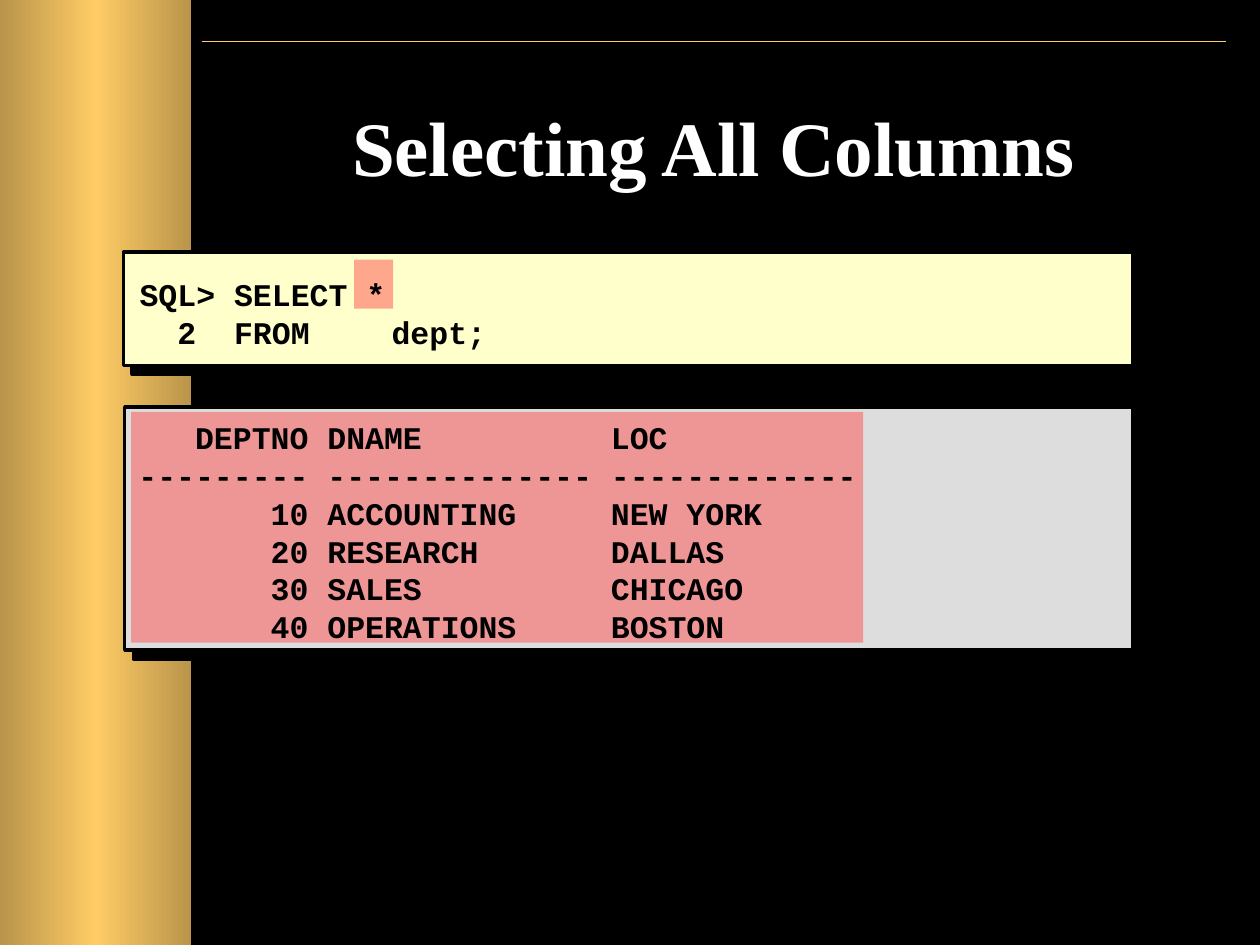
import copy

import lxml.etree
import pptx
import pptx.dml.color
import pptx.enum.shapes
import pptx.enum.text
import pptx.oxml.ns
import pptx.util

Inches = pptx.util.Inches
Pt = pptx.util.Pt
qn = pptx.oxml.ns.qn
Anchor = pptx.enum.text.MSO_ANCHOR

DEPARTMENTS = [
    ("DEPTNO", "DNAME", "LOC"),
    ("-" * 9, "-" * 14, "-" * 13),
    (10, "ACCOUNTING", "NEW YORK"),
    (20, "RESEARCH", "DALLAS"),
    (30, "SALES", "CHICAGO"),
    (40, "OPERATIONS", "BOSTON"),
]


def color(hex_string):
    return pptx.dml.color.RGBColor.from_string(hex_string)


def add_rectangle(page, left, top, width, height, fill=None):
    shape = page.shapes.add_shape(
        pptx.enum.shapes.MSO_SHAPE.RECTANGLE,
        Inches(left), Inches(top), Inches(width), Inches(height))
    shape.shadow.inherit = False
    shape.line.fill.background()
    if fill:
        shape.fill.solid()
        shape.fill.fore_color.rgb = color(fill)
    return shape


def add_panel(page, left, top, width, height, fill):
    """Outlined rectangle with a hard black shadow to the lower right."""
    panel = add_rectangle(page, left, top, width, height, fill)
    panel.line.color.rgb = color("000000")
    panel.line.width = Pt(2)
    effects = panel._element.spPr.find(qn("a:effectLst"))
    shadow = lxml.etree.SubElement(
        effects, qn("a:outerShdw"), dist=str(Pt(7.1)), dir=str(45 * 60000),
        algn="ctr", rotWithShape="0")
    lxml.etree.SubElement(shadow, qn("a:srgbClr"), val="000000")


def add_highlight(page, left, top, width, height):
    """Half-transparent red rectangle."""
    highlight = add_rectangle(page, left, top, width, height, "FF5050")
    fill_color = highlight._element.spPr.find(qn("a:solidFill")).find(qn("a:srgbClr"))
    lxml.etree.SubElement(fill_color, qn("a:alpha"), val="50000")


def add_text(page, left, top, width, height, lines, font, size, font_color,
             anchor=Anchor.TOP, align=None, spacing=None, margin_top=0.05):
    box = page.shapes.add_textbox(
        Inches(left), Inches(top), Inches(width), Inches(height))
    frame = box.text_frame
    frame.word_wrap = True
    frame.vertical_anchor = anchor
    frame.margin_top = Inches(margin_top)
    for index, line in enumerate(lines):
        para = frame.add_paragraph() if index else frame.paragraphs[0]
        para.alignment = align
        para.line_spacing = spacing
        span = para.add_run()
        span.text = line
        span.font.name = font
        span.font.size = Pt(size)
        span.font.bold = True
        span.font.color.rgb = color(font_color)


def add_code(page, left, top, width, height, lines, **options):
    add_text(page, left, top, width, height, lines, "Courier New", 18, "000000",
             spacing=Pt(21.6), **options)


def add_side_band(page, left, top, width, height):
    band = add_rectangle(page, left, top, width, height)
    band.fill.gradient()
    band.fill.gradient_angle = 0
    stop_list = band._element.spPr.find(qn("a:gradFill")).find(qn("a:gsLst"))
    stop_list.insert(1, copy.deepcopy(stop_list[0]))
    shades = [(0, "B9944A"), (0.5, "FFCC66"), (1, "B9944A")]
    for stop, (position, shade) in zip(band.fill.gradient_stops, shades):
        stop.position = position
        stop.color.rgb = color(shade)


def add_top_rule(page, left, top, width):
    rule = page.shapes.add_connector(
        pptx.enum.shapes.MSO_CONNECTOR.STRAIGHT,
        Inches(left), Inches(top), Inches(left + width), Inches(top))
    rule.line.color.rgb = color("FFCC66")
    rule.line.width = Pt(1)
    lxml.etree.SubElement(rule._element.spPr, qn("a:effectLst"))


def add_title(page, left, top, width, height):
    add_text(page, left, top, width, height, ["Selecting All Columns"],
             "Times New Roman", 44, "FFFFFF", margin_top=0.12,
             align=pptx.enum.text.PP_ALIGN.CENTER)


def add_query(page, left, top, width, height):
    add_panel(page, left, top, width, height, "FFFFCC")
    add_highlight(page, left + 1.83, top + 0.06, 0.31, 0.39)
    add_code(page, left + 0.03, top - 0.01, width - 0.05, height + 0.03,
             ["SQL> SELECT *", "  2  FROM \tdept;"],
             anchor=Anchor.MIDDLE, margin_top=0.11)


def add_result(page, left, top, width, height):
    add_panel(page, left, top, width, height, "DDDDDD")
    add_highlight(page, left + 0.05, top + 0.04, 5.81, height - 0.1)
    lines = [f"{number:>9} {name:<14} {place}" for number, name, place in DEPARTMENTS]
    add_code(page, left + 0.01, top + 0.01, width - 0.03, height - 0.03,
             lines, margin_top=0.08)


def main():
    deck = pptx.Presentation()
    deck.slide_width = Inches(10)
    deck.slide_height = Inches(7.5)
    page = deck.slides.add_slide(deck.slide_layouts[6])
    page.background.fill.solid()
    page.background.fill.fore_color.rgb = color("000000")

    add_top_rule(page, 1.6, 0.33, 8.13)
    add_side_band(page, 0, 0, 1.52, 7.5)
    add_title(page, 1.59, 0.67, 8.15, 1.25)
    add_result(page, 0.99, 3.23, 8, 1.93)
    add_query(page, 0.98, 2, 8.01, 0.9)
    deck.save("out.pptx")


if __name__ == "__main__":
    main()
